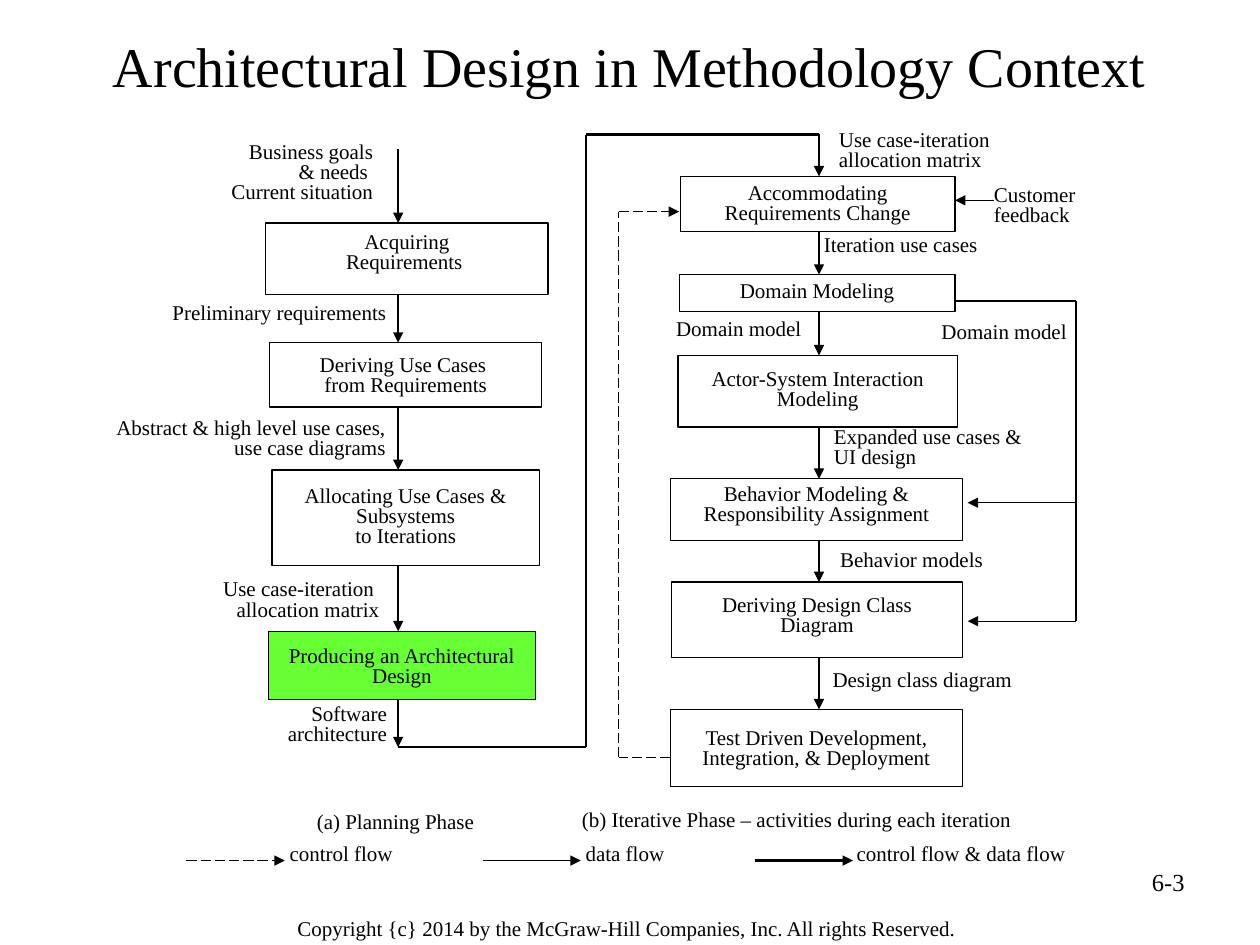
import itertools

import pptx
import pptx.dml.color
import pptx.enum.dml
import pptx.enum.shapes
import pptx.enum.text
import pptx.oxml.ns
import pptx.util

WIDTH, HEIGHT = 10, 7.5
COLS, ROWS = 100, 75  # every place below is in cells of this grid
FONT = "Times New Roman"
BLACK, WHITE, GREEN = "000000", "FFFFFF", "66FF33"
THIN, THICK = 0.75, 1.5
PLAN_X, ITER_X = 31.6, 65  # axes of the two main flows

# lines of text, left, top, width, height, space above the text, fill
PLANNING = [
    (["Acquiring", "Requirements "], 21.1, 17.7, 22.4, 5.7, 0.8, WHITE),
    (["Deriving Use Cases ", "from Requirements"], 21.4, 27.2, 21.6, 5.1, 1.1, WHITE),
    (["Allocating Use Cases & Subsystems", "to Iterations"],
     21.6, 37.3, 21.2, 7.6, 1.4, WHITE),
    (["Producing an Architectural Design"], 21.3, 50.1, 21.2, 5.4, 1.3, GREEN),
]
ITERATIVE = [
    (["Accommodating", "Requirements Change"], 54, 14, 21.8, 4.4, 0.6, WHITE),
    (["Domain Modeling"], 53.9, 21.8, 21.9, 2.9, 0.6, WHITE),
    (["Actor-System Interaction Modeling"], 53.8, 28.2, 22.2, 5.7, 1.2, WHITE),
    (["Behavior Modeling &", "Responsibility Assignment"],
     53.2, 38, 23.2, 4.9, 0.5, WHITE),
    (["Deriving Design Class", "Diagram"], 53.3, 46.2, 23.1, 6, 1.1, WHITE),
    (["Test Driven Development, Integration, & Deployment"],
     53.2, 56.3, 23.2, 6.1, 1.6, WHITE),
]

# lines of text, left, top, width, height, alignment
LABELS = [
    (["Business goals", "& needs ", "Current situation"], 13.8, 10.9, 16.8, 7.6, "r"),
    (["Preliminary requirements"], 12.7, 23.7, 19.4, 3.2, "l"),
    (["Abstract & high level use cases, use case diagrams"], 7.2, 32.8, 24.4, 5.3, "r"),
    (["Use case-iteration ", "allocation matrix"], 11, 45.6, 20.1, 5.5, "r"),
    (["Software architecture"], 18.2, 55.5, 13.5, 5.3, "r"),
    (["Use case-iteration", "allocation matrix"], 65.6, 9.9, 20.1, 5.5, "l"),
    (["Customer", "feedback"], 77.9, 14.3, 11.8, 6.1, "l"),
    (["Iteration use cases"], 64.4, 18.3, 20.2, 3.5, "l"),
    (["Domain model"], 49.6, 24.9, 15, 2.8, "r"),
    (["Domain model"], 72.2, 25.2, 15, 2.8, "c"),
    (["Expanded use cases & UI design"], 65.2, 33.5, 18.9, 5.4, "l"),
    (["Behavior models"], 65.7, 43.3, 14, 3.1, "l"),
    (["Design class diagram"], 65.1, 52.8, 25.7, 3.5, "l"),
    (["(a) Planning Phase"], 20.1, 64.1, 22.6, 3.5, "c"),
    (["(b) Iterative Phase – activities during each iteration"],
     45.2, 63.9, 46.5, 3.5, "l"),
]

# points, line width, dashed, arrow at the end
ROUTES = [
    ([(PLAN_X, 59.3), (46.5, 59.3), (46.5, 10.7), (ITER_X, 10.7)], THICK, False, False),
    ([(53.2, 60.1), (49.1, 60.1), (49.1, 16.8), (53.9, 16.8)], THIN, True, True),
    ([(75.8, 23.9), (85.4, 23.9), (85.4, 49.3), (76.8, 49.3)], THIN, False, True),
    ([(85.4, 39.9), (76.8, 39.9)], THIN, False, True),
    ([(78.9, 15.9), (75.8, 15.9)], THIN, False, True),
]

# name, start of arrow, left of text, line width, dashed
LEGEND_Y = 68.3
LEGEND = [
    ("control flow", 14.8, 22, THIN, True),
    ("data flow", 38.3, 45.5, THIN, False),
    ("control flow & data flow", 59.9, 67, THICK, False),
]

ALIGN = {
    "l": pptx.enum.text.PP_ALIGN.LEFT,
    "c": pptx.enum.text.PP_ALIGN.CENTER,
    "r": pptx.enum.text.PP_ALIGN.RIGHT,
}


def color(value):
    return pptx.dml.color.RGBColor.from_string(value)


def grid(*cells):
    """Turn alternating x and y cells into lengths."""
    units = itertools.cycle((WIDTH / COLS, HEIGHT / ROWS))
    return [pptx.util.Inches(cell * unit) for cell, unit in zip(cells, units)]


def write(s, lines, align, size=12, spacing=0.8, anchor="TOP"):
    tf = s.text_frame
    tf.word_wrap = True
    tf.vertical_anchor = getattr(pptx.enum.text.MSO_ANCHOR, anchor)
    for i, line in enumerate(lines):
        p = tf.add_paragraph() if i else tf.paragraphs[0]
        p.alignment = ALIGN[align]
        p.line_spacing = spacing
        r = p.add_run()
        r.text = line
        r.font.name = FONT
        r.font.size = pptx.util.Pt(size)
        r.font.color.rgb = color(BLACK)


def add_label(slide, lines, left, top, width, height, align, **style):
    s = slide.shapes.add_textbox(*grid(left, top, width, height))
    write(s, lines, align, **style)


def add_step(slide, lines, left, top, width, height, pad, fill):
    s = slide.shapes.add_shape(
        pptx.enum.shapes.MSO_SHAPE.RECTANGLE, *grid(left, top, width, height))
    s.shadow.inherit = False
    s.fill.solid()
    s.fill.fore_color.rgb = color(fill)
    s.line.color.rgb = color(BLACK)
    s.line.width = pptx.util.Pt(THIN)
    s.text_frame.margin_top = grid(0, pad)[1]
    s.text_frame.margin_bottom = 0
    write(s, lines, "c")


def add_route(slide, points, width, dashed=False, arrow=True):
    """Join the points with straight lines; the arrowhead is on the last one."""
    for start, end in itertools.pairwise(points):
        s = slide.shapes.add_connector(
            pptx.enum.shapes.MSO_CONNECTOR.STRAIGHT, *grid(*start, *end))
        s.line.color.rgb = color(BLACK)
        s.line.width = pptx.util.Pt(width)
        if dashed:
            s.line.dash_style = pptx.enum.dml.MSO_LINE.LONG_DASH
        if arrow and end == points[-1]:
            head = pptx.oxml.parse_xml(
                f'<a:tailEnd {pptx.oxml.ns.nsdecls("a")} type="triangle"/>')
            s.line._get_or_add_ln().append(head)
        s._element.spPr.append(pptx.oxml.parse_xml(
            f'<a:effectLst {pptx.oxml.ns.nsdecls("a")}/>'))


def add_flow(slide, steps, x, first, last=None):
    """Draw steps with arrows between them, one leading in and maybe one out."""
    for step in steps:
        add_step(slide, *step)
    starts = [first] + [top + height for _, _, top, _, height, *_ in steps]
    ends = [step[2] for step in steps] + ([last] if last else [])
    for start, end in zip(starts, ends):
        add_route(slide, [(x, start), (x, end)], THICK)


def main():
    prs = pptx.Presentation()
    prs.slide_width = pptx.util.Inches(WIDTH)
    prs.slide_height = pptx.util.Inches(HEIGHT)
    slide = prs.slides.add_slide(prs.slide_layouts[6])

    add_label(slide, ["Architectural Design in Methodology Context"],
              5, 1.4, 90, 7.5, "c", size=32, spacing=1, anchor="MIDDLE")
    add_flow(slide, PLANNING, PLAN_X, 11.8, 59.3)
    add_flow(slide, ITERATIVE, ITER_X, 10.6)
    for route in ROUTES:
        add_route(slide, *route)
    for label in LABELS:
        add_label(slide, *label)
    for name, start, left, width, dashed in LEGEND:
        add_route(slide, [(start, LEGEND_Y), (start + 7.8, LEGEND_Y)], width, dashed)
        add_label(slide, [name], left, 66.6, 25, 3.5, "l")
    add_label(slide, ["6-3"], 71.7, 68.3, 23.3, 5.2, "r", size=14, spacing=1)
    add_label(
        slide,
        ["Copyright {c} 2014 by the McGraw-Hill Companies, Inc. All rights Reserved."],
        18.8, 72.2, 61.9, 3.1, "c", spacing=1)

    prs.save("out.pptx")


if __name__ == "__main__":
    main()
